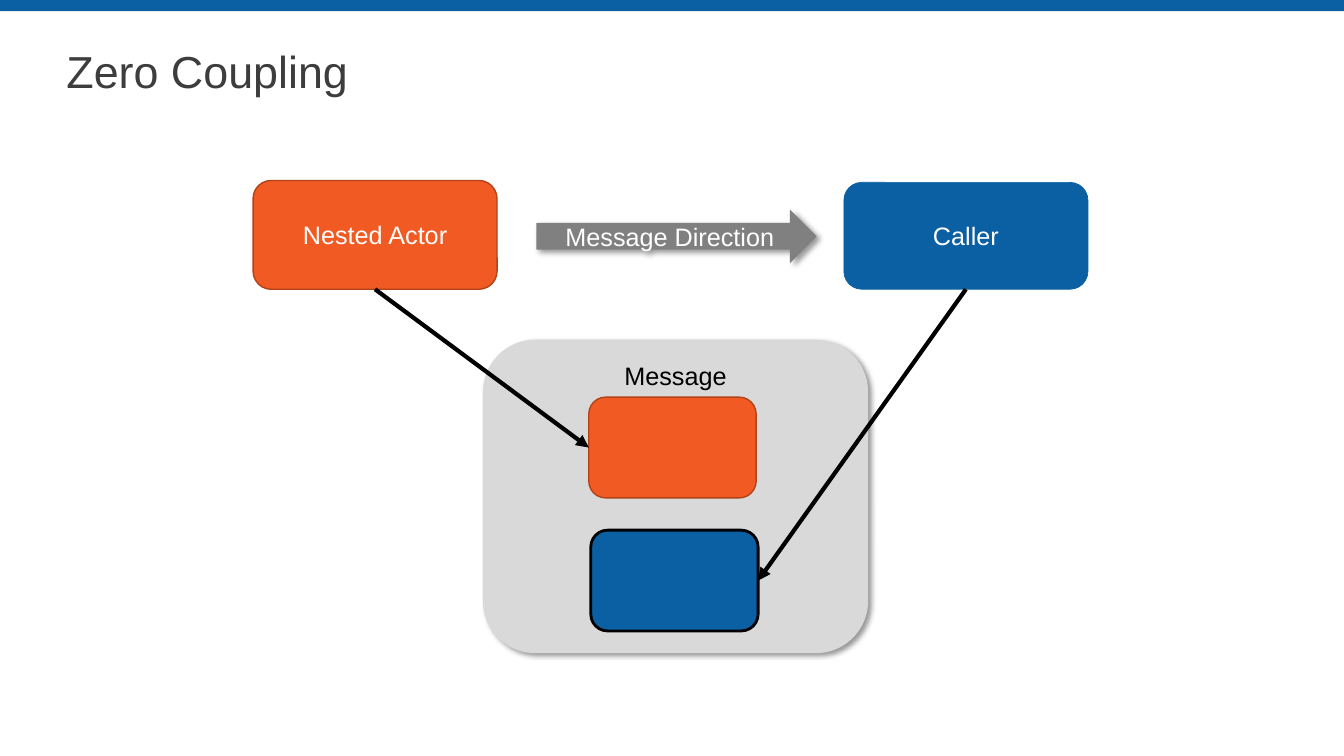
import dataclasses

import lxml.etree
import pptx
import pptx.dml.color
import pptx.enum.shapes
import pptx.enum.text
import pptx.oxml
import pptx.oxml.ns
import pptx.util

Inches = pptx.util.Inches
Pt = pptx.util.Pt
Shape = pptx.enum.shapes.MSO_SHAPE
Anchor = pptx.enum.text.MSO_ANCHOR
Align = pptx.enum.text.PP_ALIGN
BOTTOM, LEFT, RIGHT = 2, 1, 3


@dataclasses.dataclass(frozen=True)
class Theme:
    """Colours, font and type sizes of the slide."""
    blue: str = "0A60A3"
    orange: str = "F15A22"
    rust: str = "B24319"
    panel: str = "D9D9D9"
    arrow: str = "808080"
    title: str = "3D3D3D"
    black: str = "000000"
    white: str = "FFFFFF"
    font: str = "Arial"
    title_size: int = 32
    label_size: int = 18


THEME = Theme()


def rgb(value):
    """Turn a hex string into a colour."""
    return pptx.dml.color.RGBColor.from_string(value)


def add_text(shape, text, color, size, align=Align.CENTER, anchor=Anchor.MIDDLE):
    """Write one run of text into a shape."""
    frame = shape.text_frame
    frame.word_wrap = True
    frame.vertical_anchor = anchor
    para = frame.paragraphs[0]
    para.alignment = align
    span = para.add_run()
    span.text = text
    span.font.name = THEME.font
    span.font.size = Pt(size)
    span.font.color.rgb = rgb(color)
    return para


def add_block(page, kind, box, fill, line=None, width=1):
    """Draw a filled shape, outlined when a line colour is given."""
    block = page.shapes.add_shape(kind, *map(Inches, box))
    block.shadow.inherit = False
    block.fill.solid()
    block.fill.fore_color.rgb = rgb(fill)
    if line:
        block.line.color.rgb = rgb(line)
        block.line.width = Pt(width)
    else:
        block.line.fill.background()
    return block


def add_shadow(shape):
    """Cast a soft shadow to the lower right of a shape."""
    effects = shape._element.spPr.find(pptx.oxml.ns.qn("a:effectLst"))
    effects.append(pptx.oxml.parse_xml(
        f'<a:outerShdw {pptx.oxml.ns.nsdecls("a")} blurRad="{Pt(4)}" dist="{Pt(3)}" '
        f'dir="2700000" algn="tl" rotWithShape="0"><a:srgbClr val="{THEME.black}">'
        '<a:alpha val="40000"/></a:srgbClr></a:outerShdw>'))


def add_title(page, box):
    """Write the slide title."""
    title = page.shapes.add_textbox(*map(Inches, box))
    title.text_frame.margin_left = title.text_frame.margin_right = 0
    para = add_text(title, "Zero Coupling", THEME.title, THEME.title_size, Align.LEFT)
    para.line_spacing = 0.9


def add_message(page, box):
    """Draw the message panel and return its two inner parts."""
    left, top, _, _ = box
    panel = add_block(page, Shape.ROUNDED_RECTANGLE, box, THEME.panel)
    add_shadow(panel)
    add_text(panel, "Message", THEME.black, THEME.label_size, anchor=Anchor.TOP)
    sender_part = add_block(page, Shape.ROUNDED_RECTANGLE, (left + 1.05, top + 0.57, 1.66, 1),
                            THEME.orange, THEME.rust)
    caller_part = add_block(page, Shape.ROUNDED_RECTANGLE, (left + 1.07, top + 1.89, 1.66, 1),
                            THEME.blue, THEME.black, 2)
    return sender_part, caller_part


def add_actor(page, box, name, fill, line, width):
    """Draw a named actor."""
    actor = add_block(page, Shape.ROUNDED_RECTANGLE, box, fill, line, width)
    add_text(actor, name, THEME.white, THEME.label_size)
    return actor


def add_link(page, actor, part, side):
    """Point an arrow from the bottom of an actor to a side of a message part."""
    link = page.shapes.add_connector(pptx.enum.shapes.MSO_CONNECTOR.STRAIGHT, 0, 0, 0, 0)
    link.begin_connect(actor, BOTTOM)
    link.end_connect(part, side)
    link.line.color.rgb = rgb(THEME.black)
    link.line.width = Pt(3)
    outline = link.line._get_or_add_ln()
    lxml.etree.SubElement(outline, pptx.oxml.ns.qn("a:tailEnd"), type="triangle")
    lxml.etree.SubElement(link._element.spPr, pptx.oxml.ns.qn("a:effectLst"))


def add_direction(page, box):
    """Draw the block arrow that shows the message direction."""
    arrow = add_block(page, Shape.RIGHT_ARROW, box, THEME.arrow)
    add_shadow(arrow)
    add_text(arrow, "Message Direction", THEME.white, THEME.label_size)


def main():
    """Build the deck and save it."""
    deck = pptx.Presentation()
    deck.slide_width, deck.slide_height = Inches(13.33), Inches(7.5)
    page = deck.slides.add_slide(deck.slide_layouts[6])
    add_block(page, Shape.RECTANGLE, (0, 0, 13.33, 0.11), THEME.blue)
    sender_part, caller_part = add_message(page, (4.79, 3.37, 3.82, 3.11))
    add_title(page, (0.66, 0.4, 12, 0.67))
    sender = add_actor(page, (2.51, 1.79, 2.42, 1.08), "Nested Actor",
                       THEME.orange, THEME.rust, 1)
    caller = add_actor(page, (8.37, 1.81, 2.42, 1.06), "Caller",
                       THEME.blue, THEME.blue, 0.5)
    add_link(page, caller, caller_part, RIGHT)
    add_link(page, sender, sender_part, LEFT)
    add_direction(page, (5.32, 2.08, 2.78, 0.53))
    deck.save("out.pptx")


if __name__ == "__main__":
    main()
